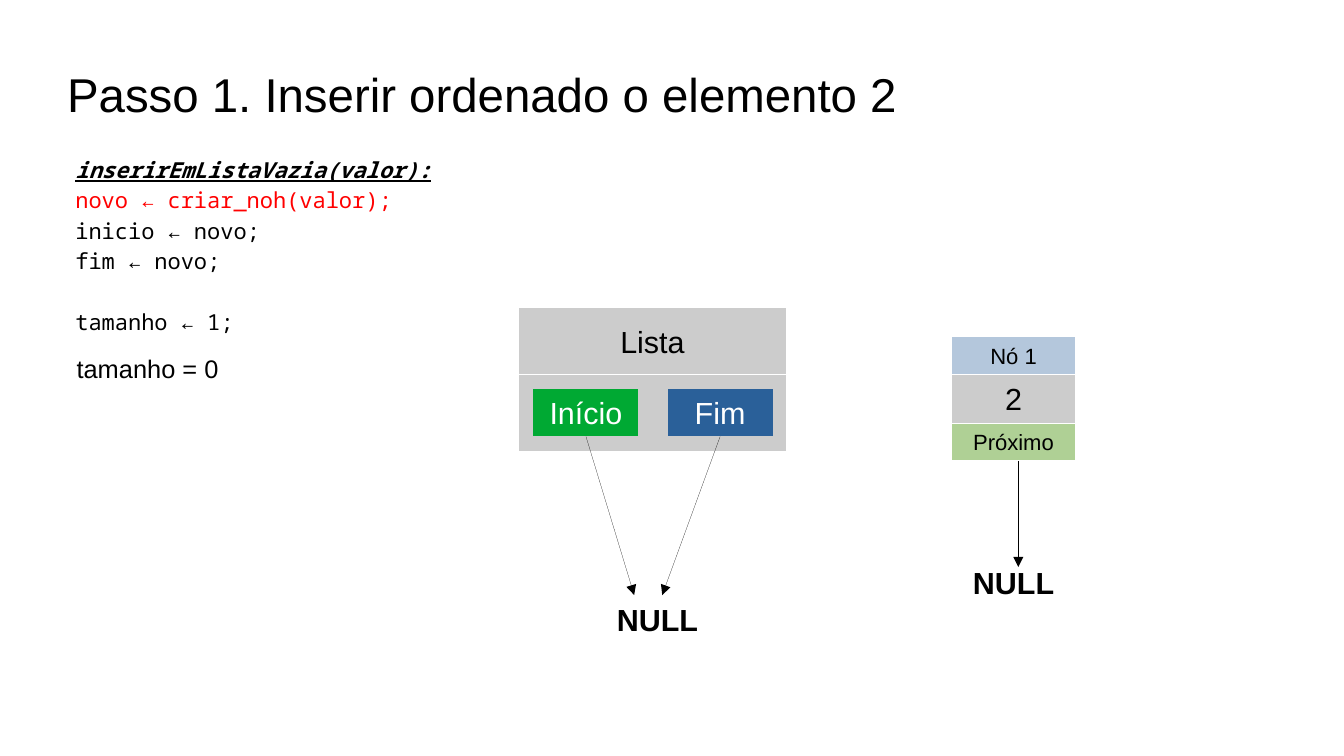
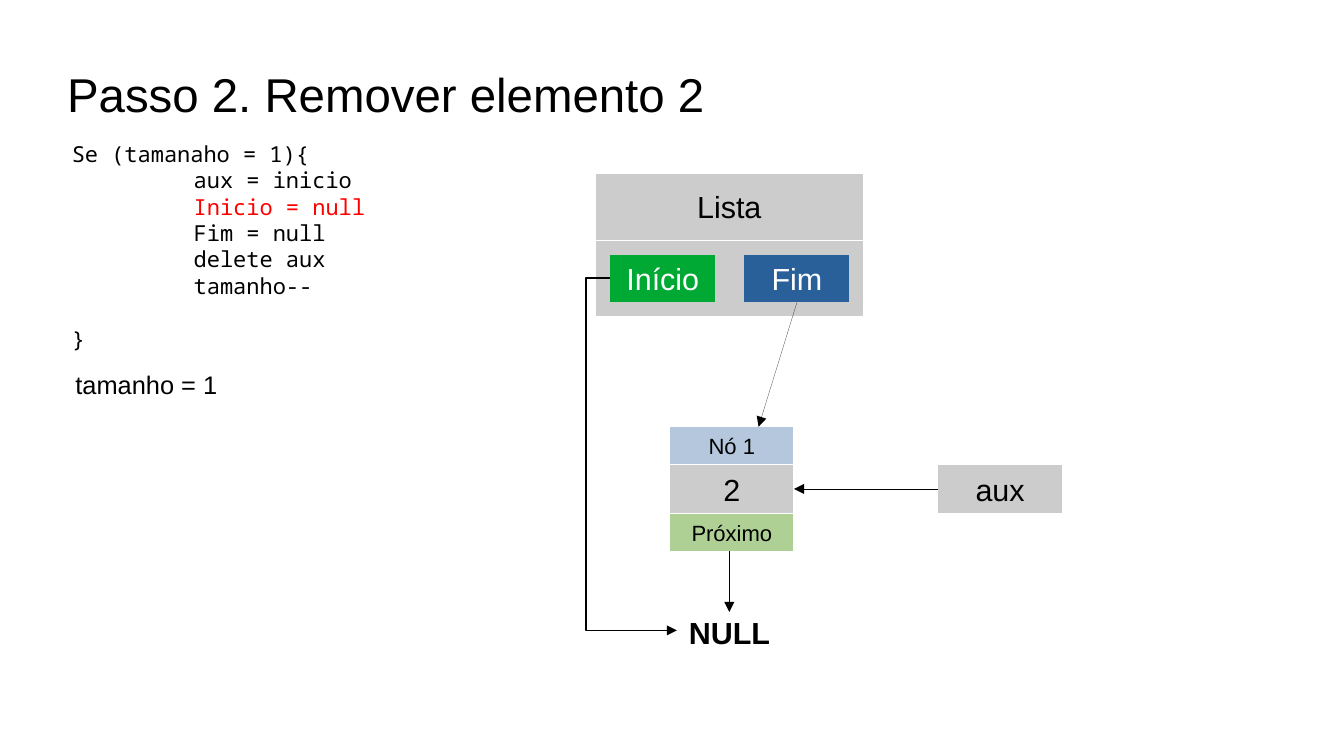
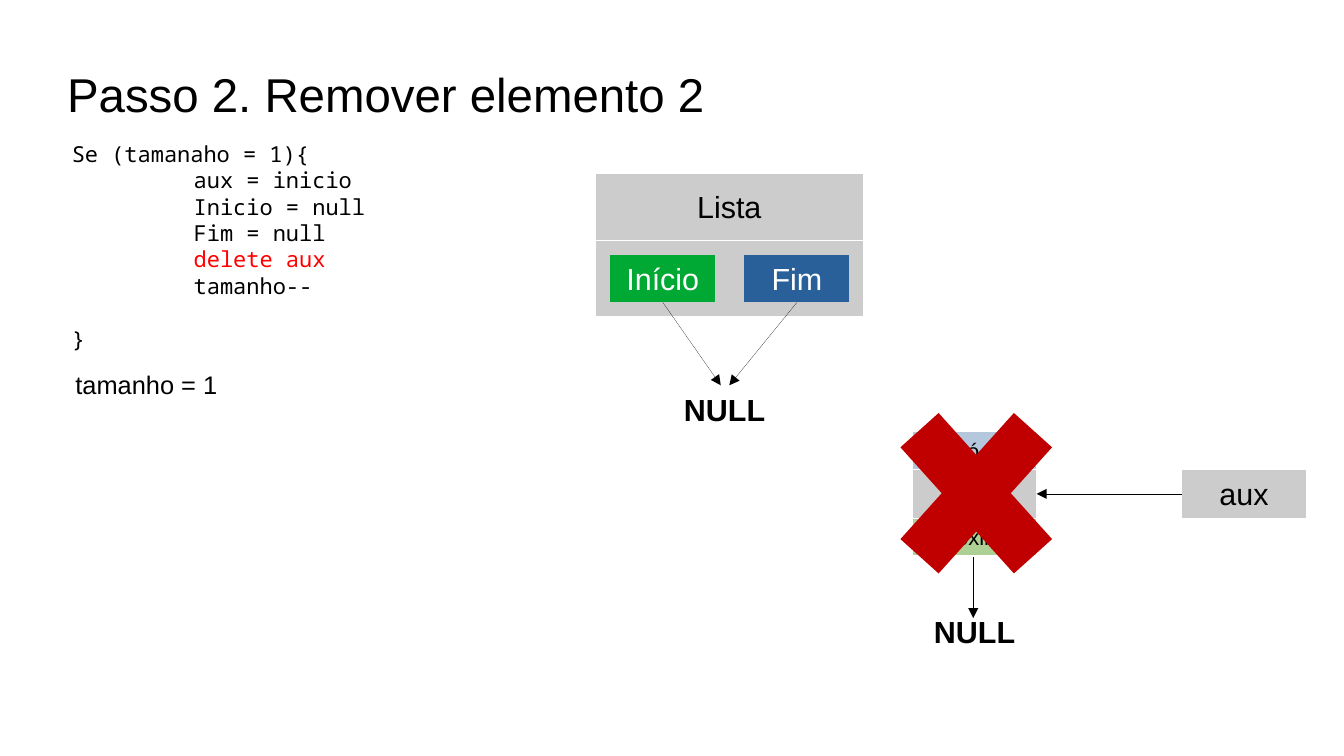
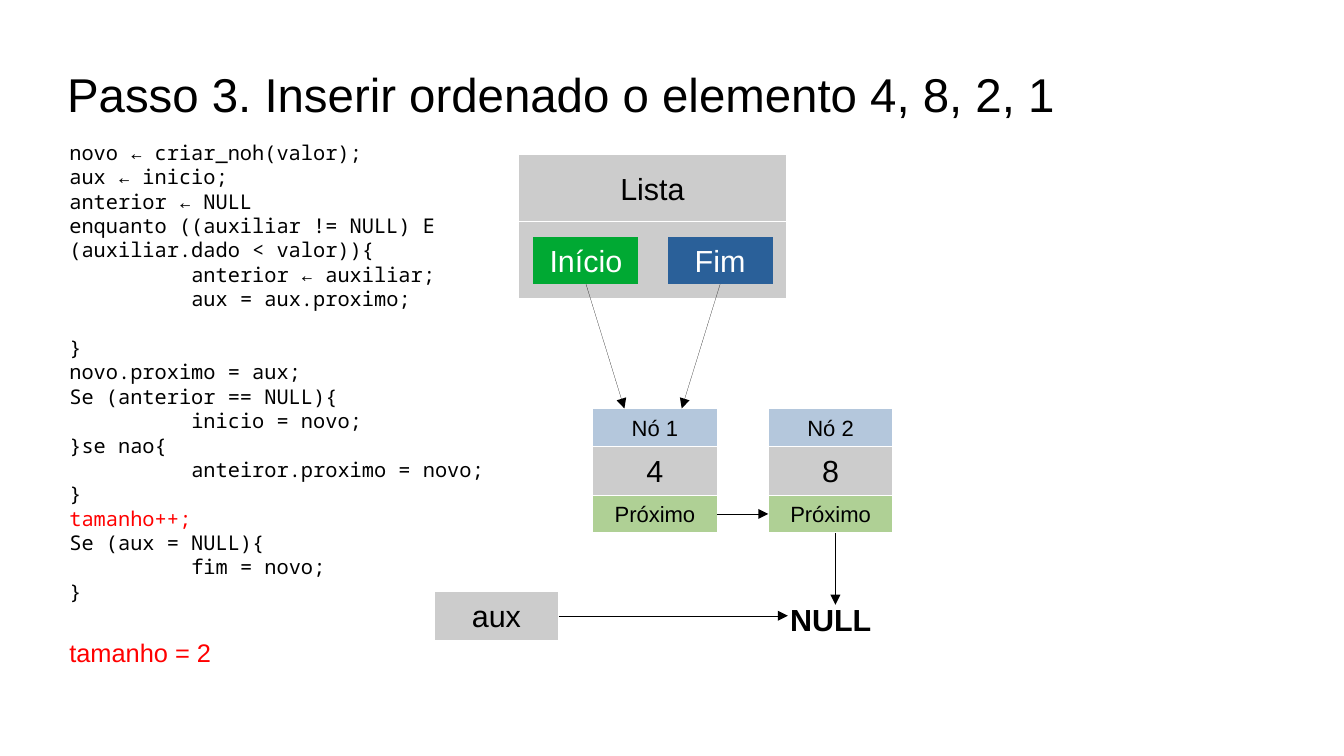
from lxml.etree import SubElement
from pptx import Presentation
from pptx.dml.color import RGBColor
from pptx.enum.shapes import MSO_CONNECTOR as Connector, MSO_SHAPE as Shape
from pptx.enum.text import MSO_ANCHOR as Anchor, PP_ALIGN as Align
from pptx.oxml.ns import qn
from pptx.util import Inches, Pt

BLACK = RGBColor(0x00, 0x00, 0x00)
WHITE = RGBColor(0xFF, 0xFF, 0xFF)
RED = RGBColor(0xFF, 0x00, 0x00)
DARK_RED = RGBColor(0xC0, 0x00, 0x00)
GREY = RGBColor(0xCC, 0xCC, 0xCC)
GREEN = RGBColor(0x00, 0xA9, 0x33)
BLUE = RGBColor(0x2A, 0x60, 0x99)
LIGHT_BLUE = RGBColor(0xB4, 0xC7, 0xDC)
LIGHT_GREEN = RGBColor(0xAF, 0xD0, 0x95)

SANS = "Arial"
MONO = "Noto Sans Mono"
LINE_HEIGHT = 1.2
TOP, LEFT, BOTTOM, RIGHT = range(4)

LIST_WIDTH, LIST_HEAD, LIST_BODY = 2.2, 0.55, 0.63
POINTER_WIDTH, POINTER_HEIGHT, POINTER_STEP, POINTER_MARGIN = 0.87, 0.39, 1.1, 0.12
NODE_SIDE, NODE_BAND, AUX_HEIGHT = 1.02, 0.31, 0.4
POINTERS = [("Início", GREEN), ("Fim", BLUE)]

INSERT_EMPTY = [
    "inserirEmListaVazia(valor):",
    "novo ← criar_noh(valor);",
    "inicio ← novo;",
    "fim ← novo;",
    "tamanho ← 1;",
]
REMOVE = [
    "Se (tamanaho = 1){",
    "\taux = inicio",
    "\tInicio = null",
    "\tFim = null",
    "\tdelete aux",
    "\ttamanho--",
    "}",
]
INSERT_SORTED = [
    "novo ← criar_noh(valor);",
    "aux ← inicio;",
    "anterior ← NULL",
    "enquanto ((auxiliar != NULL) E (auxiliar.dado < valor)){",
    "\tanterior ← auxiliar;",
    "\taux = aux.proximo;",
    "}",
    "novo.proximo = aux;",
    "Se (anterior == NULL){",
    "\tinicio = novo;",
    "}se nao{",
    "\tanteiror.proximo = novo;",
    "}",
    "tamanho++;",
    "Se (aux = NULL){",
    "\tfim = novo;",
    "}",
]

SLIDES = [
    {
        "title": "Passo 1. Inserir ordenado o elemento 2",
        "code": {"at": (0.52, 1.2), "lines": INSERT_EMPTY, "gap_before": 4,
                 "highlight": 1, "spacing": 1.15, "heading": True},
        "counter": ("tamanho = 0", (0.53, 2.85), BLACK),
        "list": (4.25, 2.52),
        "nodes": [("Nó 1", "2", (7.8, 2.76))],
        "nulls": [(4.96, 4.88), (7.88, 4.58)],
        "arrows": [(("Início", BOTTOM), (5.2, 4.88)),
                   (("Fim", BOTTOM), (5.43, 4.88)),
                   ((8.35, 3.78), (8.35, 4.65))],
    },
    {
        "title": "Passo 2. Remover elemento 2",
        "code": {"at": (0.49, 1.1), "lines": REMOVE, "gap_before": 6, "highlight": 2},
        "counter": ("tamanho = 1", (0.52, 2.98), BLACK),
        "list": (4.88, 1.42),
        "nodes": [("Nó 1", "2", (5.49, 3.5))],
        "nulls": [(5.55, 4.99)],
        "aux": (7.69, 3.81),
        "arrows": [(("Fim", BOTTOM), (6.22, 3.5)),
                   ((5.98, 4.52), (5.98, 5.02)),
                   (("aux", LEFT), ("Nó 1", RIGHT))],
        "elbow": ((5, 2.28), (5.55, 5.17), -0.358),
    },
    {
        "title": "Passo 2. Remover elemento 2",
        "code": {"at": (0.49, 1.1), "lines": REMOVE, "gap_before": 6, "highlight": 4},
        "counter": ("tamanho = 1", (0.52, 2.98), BLACK),
        "list": (4.88, 1.42),
        "nodes": [("Nó 1", "", (7.48, 3.54))],
        "nulls": [(5.51, 3.16), (7.56, 4.98)],
        "aux": (9.69, 3.85),
        "arrows": [(("Início", BOTTOM), (5.91, 3.16)),
                   (("Fim", BOTTOM), (5.98, 3.16)),
                   ((7.98, 4.57), (7.98, 5.07)),
                   (("aux", LEFT), ("Nó 1", RIGHT))],
        "cross": (7.11, 3.05, 1.79, 1.99),
    },
    {
        "title": "Passo 3. Inserir ordenado o elemento 4, 8, 2, 1",
        "code": {"at": (0.47, 1.1), "lines": INSERT_SORTED, "gap_before": 6,
                 "highlight": 13, "size": 12},
        "counter": ("tamanho = 2", (0.47, 5.18), RED),
        "list": (4.25, 1.27),
        "nodes": [("Nó 1", "4", (4.86, 3.35)), ("Nó 2", "8", (6.3, 3.35))],
        "nulls": [(6.38, 4.88)],
        "aux": (3.56, 4.85),
        "arrows": [(("Início", BOTTOM), (5.12, 3.35)),
                   (("Fim", BOTTOM), (5.59, 3.35)),
                   (("aux", RIGHT), (6.46, 5.05)),
                   (("Próximo de Nó 1", RIGHT), ("Próximo de Nó 2", LEFT)),
                   ((6.85, 4.37), (6.85, 4.96))],
    },
]


def set_font(paragraph, size, color=BLACK, name=SANS, bold=False):
    font = paragraph.font
    font.name, font.size, font.bold = name, Pt(size), bold
    font.color.rgb = color


def set_line(shape, color, width=0):
    shape.line.color.rgb = color
    outline = shape.line._get_or_add_ln()
    outline.set("w", str(Pt(width)))
    return outline


def add_text(slide, box, text, size, color=BLACK, bold=False):
    frame = slide.shapes.add_textbox(*map(Inches, box)).text_frame
    frame.text = text
    frame.word_wrap = True
    set_font(frame.paragraphs[0], size, color, bold=bold)
    return frame


def add_title(slide, text):
    frame = add_text(slide, (0.55, 0.25, 9.92, 1.04), text, 28)
    frame.vertical_anchor = Anchor.MIDDLE
    frame.margin_left = frame.margin_right = frame.margin_top = frame.margin_bottom = 0


def add_box(slide, box, fill, text="", size=18, color=BLACK, line=WHITE):
    shape = slide.shapes.add_shape(Shape.RECTANGLE, *map(Inches, box))
    shape.shadow.inherit = False
    shape.fill.solid()
    shape.fill.fore_color.rgb = fill
    set_line(shape, line)
    if text:
        frame = shape.text_frame
        frame.text = text
        frame.word_wrap = False
        frame.vertical_anchor = Anchor.MIDDLE
        frame.paragraphs[0].alignment = Align.CENTER
        set_font(frame.paragraphs[0], size, color)
    return shape


def add_code(slide, at, lines, gap_before, highlight, size=13, spacing=1, heading=False):
    height = (len(lines) + 1) * size * LINE_HEIGHT * spacing / 72 + 0.1
    shape = slide.shapes.add_textbox(*map(Inches, (*at, 3.62, height)))
    frame = shape.text_frame
    frame.word_wrap = True
    for index, line in enumerate(lines):
        paragraph = frame.add_paragraph() if index else frame.paragraphs[0]
        paragraph.text = line.lstrip("\t")
        paragraph.line_spacing = float(spacing)
        set_font(paragraph, size, RED if index == highlight else BLACK, MONO)
        if line.startswith("\t"):
            properties = paragraph._p.get_or_add_pPr()
            properties.set("marL", str(Inches(1)))
            properties.set("indent", "0")
        if index == gap_before:
            paragraph.space_before = Pt(size * LINE_HEIGHT * spacing)
    if heading:
        font = frame.paragraphs[0].font
        font.bold = font.italic = font.underline = True


def add_list(slide, left, top):
    add_box(slide, (left, top, LIST_WIDTH, LIST_HEAD), GREY, "Lista")
    body_top = top + LIST_HEAD
    add_box(slide, (left, body_top, LIST_WIDTH, LIST_BODY), GREY)
    return {
        name: add_box(slide, (left + POINTER_MARGIN + index * POINTER_STEP,
                              body_top + POINTER_MARGIN, POINTER_WIDTH, POINTER_HEIGHT),
                      fill, name, color=WHITE, line=GREY)
        for index, (name, fill) in enumerate(POINTERS)
    }


def add_node(slide, name, value, at):
    left, top = at
    body = add_box(slide, (left, top, NODE_SIDE, NODE_SIDE), GREY, value)
    add_box(slide, (left, top, NODE_SIDE, NODE_BAND), LIGHT_BLUE, name, 13)
    next_top = top + NODE_SIDE - NODE_BAND
    following = add_box(slide, (left, next_top, NODE_SIDE, NODE_BAND), LIGHT_GREEN, "Próximo", 13)
    return {name: body, f"Próximo de {name}": following}


def add_arrow(slide, start, end, parts, kind=Connector.STRAIGHT, width=0):
    joins = [isinstance(point[0], str) for point in (start, end)]
    corners = [(0, 0) if joined else point for joined, point in zip(joins, (start, end))]
    connector = slide.shapes.add_connector(kind, *map(Inches, corners[0] + corners[1]))
    for joined, point, connect in zip(joins, (start, end),
                                      (connector.begin_connect, connector.end_connect)):
        if joined:
            connect(parts[point[0]], point[1])
    SubElement(set_line(connector, BLACK, width), qn("a:tailEnd"), type="triangle")
    SubElement(connector._element.spPr, qn("a:effectLst"))
    return connector


def add_elbow(slide, start, end, bend):
    connector = add_arrow(slide, start, end, {}, Connector.ELBOW, 1)
    adjustments = connector._element.spPr.find(qn("a:prstGeom")).get_or_add_avLst()
    SubElement(adjustments, qn("a:gd"), name="adj1", fmla=f"val {round(bend * 100000)}")


def add_cross(slide, box):
    cross = slide.shapes.add_shape(Shape.MATH_MULTIPLY, *map(Inches, box))
    cross.adjustments[0] = 0.235
    cross.shadow.inherit = False
    cross.fill.solid()
    cross.fill.fore_color.rgb = DARK_RED
    cross.line.fill.background()


def build_slide(presentation, content):
    slide = presentation.slides.add_slide(presentation.slide_layouts[6])
    add_title(slide, content["title"])
    add_code(slide, **content["code"])
    text, at, color = content["counter"]
    add_text(slide, (*at, 1.5, 0.33), text, 15, color)
    parts = add_list(slide, *content["list"])
    for node in content["nodes"]:
        parts.update(add_node(slide, *node))
    for at in content["nulls"]:
        add_text(slide, (*at, 1, 0.38), "NULL", 18, bold=True)
    if "aux" in content:
        parts["aux"] = add_box(slide, (*content["aux"], NODE_SIDE, AUX_HEIGHT), GREY, "aux")
    for start, end in content["arrows"]:
        add_arrow(slide, start, end, parts)
    if "elbow" in content:
        add_elbow(slide, *content["elbow"])
    if "cross" in content:
        add_cross(slide, content["cross"])


def main():
    presentation = Presentation()
    presentation.slide_width, presentation.slide_height = Inches(11.02), Inches(6.2)
    for content in SLIDES:
        build_slide(presentation, content)
    presentation.save("out.pptx")


if __name__ == "__main__":
    main()
